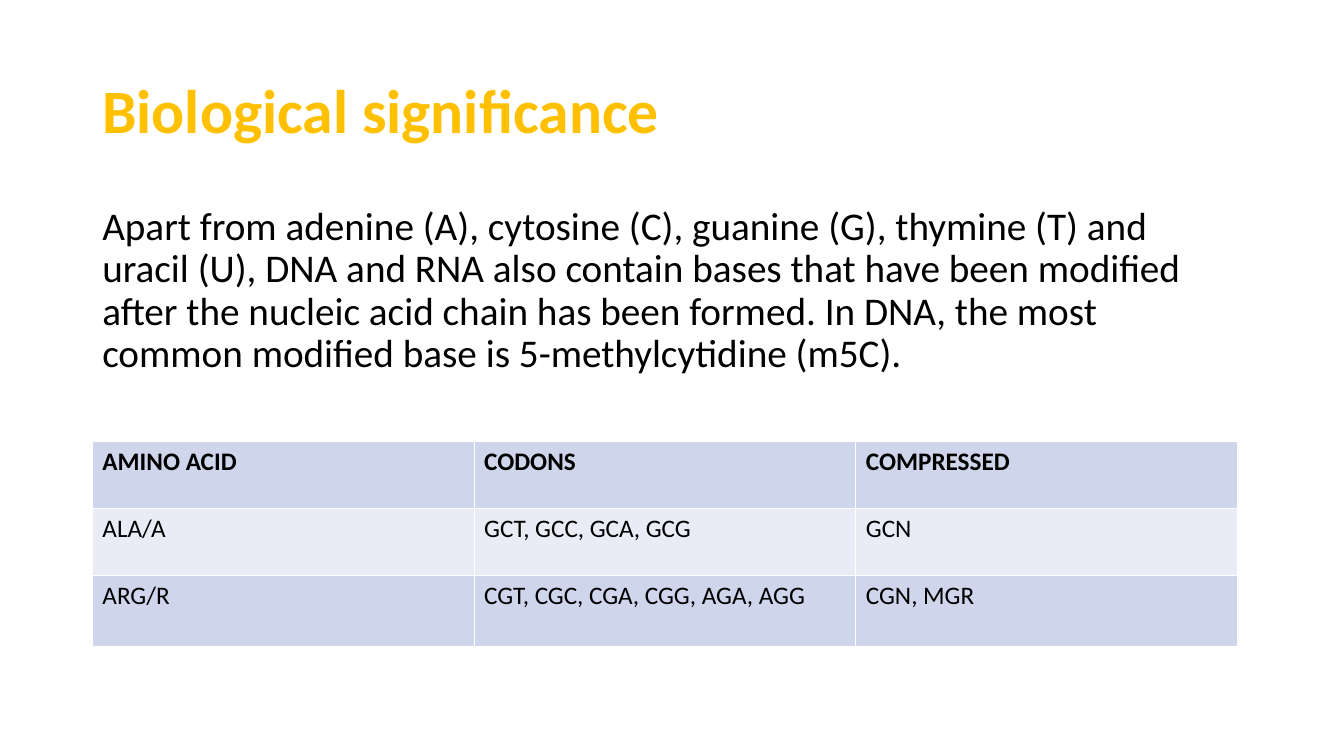
from lxml.etree import SubElement
from pptx import Presentation
from pptx.dml.color import RGBColor
from pptx.enum.text import MSO_ANCHOR
from pptx.oxml.ns import qn
from pptx.util import Pt

FONT = "Calibri"
GOLD = RGBColor(0xFF, 0xC0, 0x00)
BLACK = RGBColor(0x00, 0x00, 0x00)
WHITE = RGBColor(0xFF, 0xFF, 0xFF)
BAND_DARK = RGBColor(0xCF, 0xD5, 0xEA)
BAND_LIGHT = RGBColor(0xE9, 0xEB, 0xF5)

LEFT, WIDTH = 66, 818

EXPLANATION = (
    "Apart from adenine (A), cytosine (C), guanine (G), thymine (T) and "
    "uracil (U), DNA and RNA also contain bases that have been modified "
    "after the nucleic acid chain has been formed. In DNA, the most "
    "common modified base is 5-methylcytidine (m5C)."
)
CODON_ROWS = [
    ("AMINO ACID", "CODONS", "COMPRESSED"),
    ("ALA/A", "GCT, GCC, GCA, GCG", "GCN"),
    ("ARG/R", "CGT, CGC, CGA, CGG, AGA, AGG", "CGN, MGR"),
]
ROW_HEIGHTS = (47.8, 47.8, 50.8)


def add_run(paragraph, text, size, color, bold=False):
    run = paragraph.add_run()
    run.text = text
    run.font.name = FONT
    run.font.size = Pt(size)
    run.font.bold = bold
    run.font.color.rgb = color


def add_text(slide, box, text, size, color, bold=False,
             anchor=MSO_ANCHOR.TOP, space_before=0):
    frame = slide.shapes.add_textbox(*map(Pt, box)).text_frame
    frame.word_wrap = True
    frame.vertical_anchor = anchor
    paragraph = frame.paragraphs[0]
    paragraph.line_spacing = 0.9
    paragraph.space_before = Pt(space_before)
    add_run(paragraph, text, size, color, bold)


def set_borders(cell, color, width):
    properties = cell._tc.get_or_add_tcPr()
    for position, side in enumerate(("a:lnL", "a:lnR", "a:lnT", "a:lnB")):
        line = SubElement(properties, qn(side), w=str(Pt(width)))
        fill = SubElement(line, qn("a:solidFill"))
        SubElement(fill, qn("a:srgbClr"), val=str(color))
        # Borders come before the cell fill in the schema
        properties.insert(position, line)


def add_codon_table(slide, box):
    table = slide.shapes.add_table(
        len(CODON_ROWS), len(CODON_ROWS[0]), *map(Pt, box)).table
    for row, height in zip(table.rows, ROW_HEIGHTS):
        row.height = Pt(height)
    for r, entries in enumerate(CODON_ROWS):
        for c, entry in enumerate(entries):
            cell = table.cell(r, c)
            cell.fill.solid()
            cell.fill.fore_color.rgb = BAND_LIGHT if r % 2 else BAND_DARK
            set_borders(cell, WHITE, 1)
            add_run(cell.text_frame.paragraphs[0], entry, 18, BLACK,
                    bold=r == 0)


def build_significance_slide(presentation):
    slide = presentation.slides.add_slide(presentation.slide_layouts[6])
    # Title
    add_text(slide, (LEFT, 28.8, 828, 104.4), "Biological significance",
             44, GOLD, bold=True, anchor=MSO_ANCHOR.MIDDLE)
    # Explanation
    add_text(slide, (LEFT, 144, WIDTH, 160), EXPLANATION, 28, BLACK,
             space_before=10)
    # Codons and their compressed forms
    add_codon_table(slide, (LEFT, 315.4, WIDTH, sum(ROW_HEIGHTS)))


def main():
    presentation = Presentation()
    presentation.slide_width = Pt(960)
    presentation.slide_height = Pt(540)
    build_significance_slide(presentation)
    presentation.save("out.pptx")


if __name__ == "__main__":
    main()
